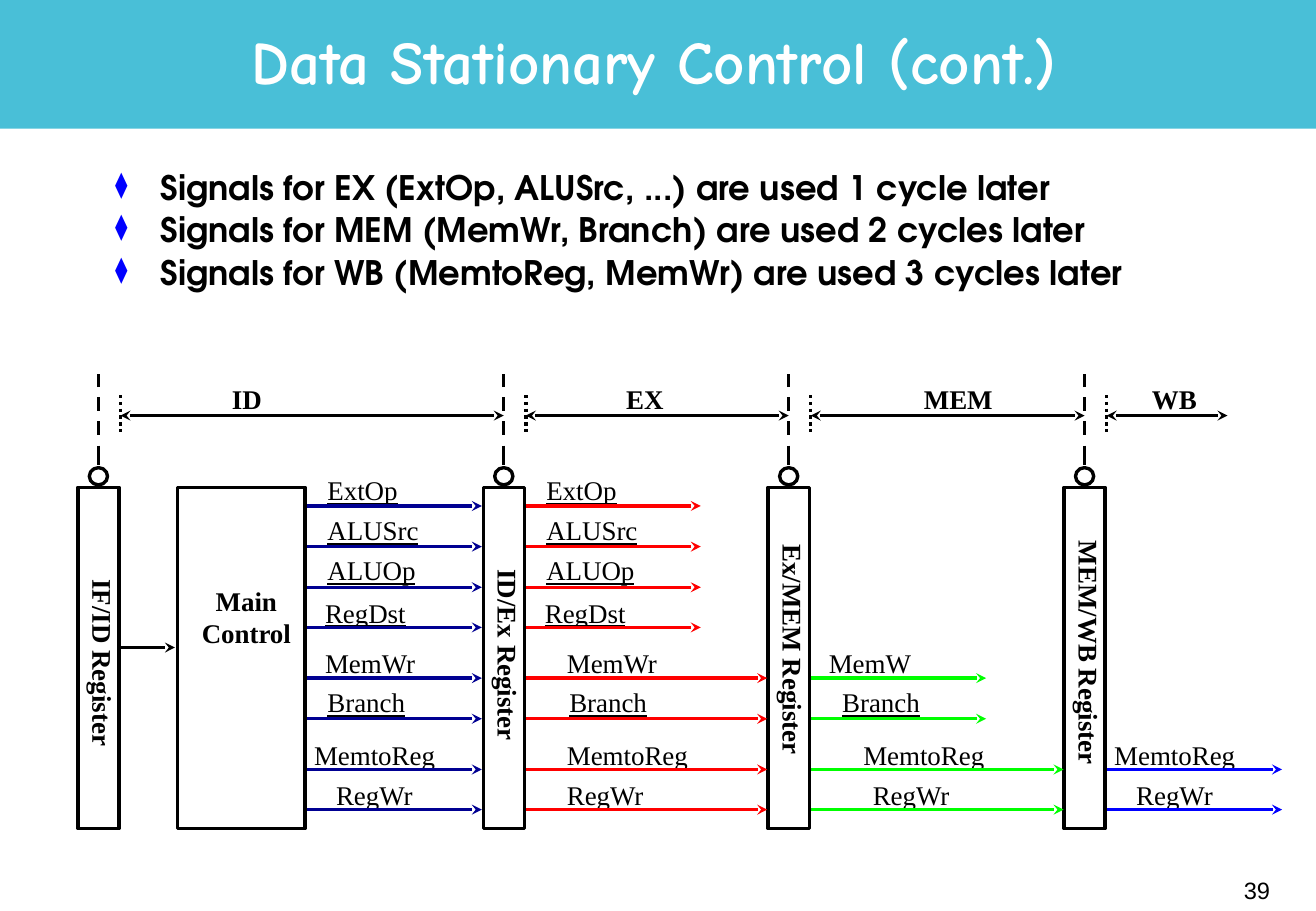
"""Build the slide on data stationary control in a pipelined processor."""
from dataclasses import dataclass

from lxml.etree import SubElement
from pptx import Presentation
from pptx.dml.color import RGBColor as Rgb
from pptx.enum.dml import MSO_LINE as Dash
from pptx.enum.shapes import MSO_CONNECTOR as Connector, MSO_SHAPE as Preset
from pptx.enum.text import MSO_ANCHOR as Anchor, PP_ALIGN as Align
from pptx.oxml.ns import qn
from pptx.util import Cm, Pt


@dataclass(frozen=True)
class Theme:
    banner: Rgb = Rgb(0x49, 0xBF, 0xD7)
    white: Rgb = Rgb(255, 255, 255)
    black: Rgb = Rgb(0, 0, 0)
    navy: Rgb = Rgb(0, 0, 0x92)
    red: Rgb = Rgb(255, 0, 0)
    green: Rgb = Rgb(0, 255, 0)
    blue: Rgb = Rgb(0, 0, 255)
    title_font: str = "Comic Neue"
    body_font: str = "TeX Gyre Adventor"
    diagram_font: str = "Times New Roman"
    number_font: str = "Arial"
    title_size: Pt = Pt(36)
    body_size: Pt = Pt(20)
    diagram_size: Pt = Pt(16)
    number_size: Pt = Pt(14)
    stroke: Pt = Pt(2)


theme = Theme()
presentation = Presentation()
presentation.slide_width, presentation.slide_height = Cm(27.53), Cm(19.05)
slide = presentation.slides.add_slide(presentation.slide_layouts[6])


def add_text(text, left, top, width=3.2, height=0.94, font=theme.diagram_font,
             size=theme.diagram_size, color=theme.black, bold=False,
             underline=False, align=Align.LEFT, anchor=Anchor.TOP):
    box = slide.shapes.add_textbox(Cm(left), Cm(top), Cm(width), Cm(height))
    frame = box.text_frame
    frame.word_wrap = True
    frame.vertical_anchor = anchor
    frame.text = text
    for paragraph in frame.paragraphs:
        paragraph.alignment = align
        for run in paragraph.runs:
            run.font.name, run.font.size = font, size
            run.font.bold, run.font.underline = bold, underline
            run.font.color.rgb = color
    return box


def add_line(x1, y1, x2, y2, color=theme.black, dash=None, arrows=()):
    connector = slide.shapes.add_connector(
        Connector.STRAIGHT, Cm(x1), Cm(y1), Cm(x2), Cm(y2))
    connector.line.color.rgb = color
    connector.line.width = theme.stroke
    if dash:
        connector.line.dash_style = dash
    properties = connector.element.spPr
    for end in arrows:
        SubElement(properties.find(qn("a:ln")), qn(f"a:{end}"), type="stealth")
    SubElement(properties, qn("a:effectLst"))


banner = slide.shapes.add_shape(Preset.RECTANGLE, 0, 0, presentation.slide_width, Cm(2.69))
banner.shadow.inherit = False
banner.fill.solid()
banner.fill.fore_color.rgb = theme.banner
banner.line.fill.background()

register_top, register_width, register_height = 10.19, 0.86, 7.14
output_gap = 0.89
registers = [
    ("IF/ID Register", 1.63, 13.86),
    ("ID/Ex Register", 10.11, 13.7),
    ("Ex/MEM Register", 16.07, 13.58),
    ("MEM/WB Register", 22.26, 13.65),
]
outlines = [(Preset.RECTANGLE, 3.71, register_top, 2.67, register_height)]
for name, left, label_middle in registers:
    center = left + register_width / 2
    outlines += [
        (Preset.RECTANGLE, left, register_top, register_width, register_height),
        (Preset.OVAL, center - 0.19, 9.78, 0.38, 0.36),
    ]
    label = add_text(name, center + 0.09 - 2.75, label_middle - 0.47, width=5.5,
                     bold=True, align=Align.CENTER)
    label.rotation = 90
    add_line(center, 9.32, center, 9.73)
    add_line(center, 9.09, center, 7.82, dash=Dash.DASH)
    add_line(left + output_gap, 8.26, left + output_gap, 9.09, dash=Dash.ROUND_DOT)

for preset, left, top, width, height in outlines:
    outline = slide.shapes.add_shape(preset, Cm(left), Cm(top), Cm(width), Cm(height))
    outline.shadow.inherit = False
    outline.fill.background()
    outline.line.color.rgb = theme.black
    outline.line.width = theme.stroke

add_text("Main\nControl", 3.96, 12.09, width=2.39, height=1.6, bold=True, align=Align.CENTER)
add_line(2.51, 13.54, 3.66, 13.54, arrows=["tailEnd"])

stage_ends = [left + register_width / 2 for _, left, _ in registers[1:]] + [25.68]
stage_labels = [("ID", 4.6), ("EX", 12.85), ("MEM", 19.08), ("WB", 23.85)]
for (name, label_left), (_, left, _), end in zip(stage_labels, registers, stage_ends):
    add_line(left + output_gap, 8.69, end, 8.69, arrows=["headEnd", "tailEnd"])
    add_text(name, label_left, 7.87, bold=True)

signal_rows = [
    (9.78, 10.58), (10.62, 11.43), (11.46, 12.28), (12.34, 13.12),
    (13.39, 14.18), (14.22, 15.03), (15.32, 16.09), (16.15, 16.93),
]
short_arrow = 3.66
signal_stages = [
    (theme.navy, 6.43, 10.08, 0, [
        ("ExtOp", 6.6), ("ALUSrc", 6.6), ("ALUOp", 6.6), ("RegDst", 6.55),
        ("MemWr", 6.55), ("Branch", 6.6), ("MemtoReg", 6.32), ("RegWr", 6.78)]),
    (theme.red, 11.0, 16.05, 4, [
        ("ExtOp", 11.18), ("ALUSrc", 11.18), ("ALUOp", 11.18), ("RegDst", 11.15),
        ("MemWr", 11.61), ("Branch", 11.66), ("MemtoReg", 11.61), ("RegWr", 11.61)]),
    (theme.green, 16.97, 22.25, 2, [
        ("MemW", 17.09), ("Branch", 17.37), ("MemtoReg", 17.81), ("RegWr", 18.01)]),
    (theme.blue, 23.16, 26.82, 0, [("MemtoReg", 23.06), ("RegWr", 23.52)]),
]
for color, start, far_end, short_count, signals in signal_stages:
    rows = signal_rows[-len(signals):]
    for index, ((name, left), (label_top, arrow_y)) in enumerate(zip(signals, rows)):
        end = start + short_arrow if index < short_count else far_end
        add_text(name, left, label_top, underline=True)
        add_line(start, arrow_y, end, arrow_y, color, arrows=["tailEnd"])

title = add_text("Data Stationary Control (cont.)", 1.98, 0.13, 23.39, 2.51,
                 theme.title_font, theme.title_size, theme.white, bold=True,
                 align=Align.CENTER, anchor=Anchor.MIDDLE)
title.text_frame.paragraphs[0].line_spacing = 0.85

body = add_text(
    "Signals for EX (ExtOp, ALUSrc, ...) are used 1 cycle later\n"
    "Signals for MEM (MemWr, Branch) are used 2 cycles later\n"
    "Signals for WB (MemtoReg, MemWr) are used 3 cycles later",
    2.16, 3.45, 23.39, 3.2, theme.body_font, theme.body_size, bold=True)
for index, paragraph in enumerate(body.text_frame.paragraphs):
    properties = paragraph._p.get_or_add_pPr()
    properties.set("marL", str(Cm(0.95)))
    properties.set("indent", str(-Cm(0.95)))
    bullet_color = SubElement(properties, qn("a:buClr"))
    SubElement(bullet_color, qn("a:srgbClr"), val=str(theme.blue))
    SubElement(properties, qn("a:buSzPct"), val="75000")
    SubElement(properties, qn("a:buChar"), char="⧫")
    paragraph.line_spacing = 0.9
    paragraph.space_before = Pt(3.7 if index else 0)

add_text("39", 21.08, 17.98, 5.74, 1.27, theme.number_font, theme.number_size,
         align=Align.RIGHT, anchor=Anchor.MIDDLE)

presentation.save("out.pptx")
